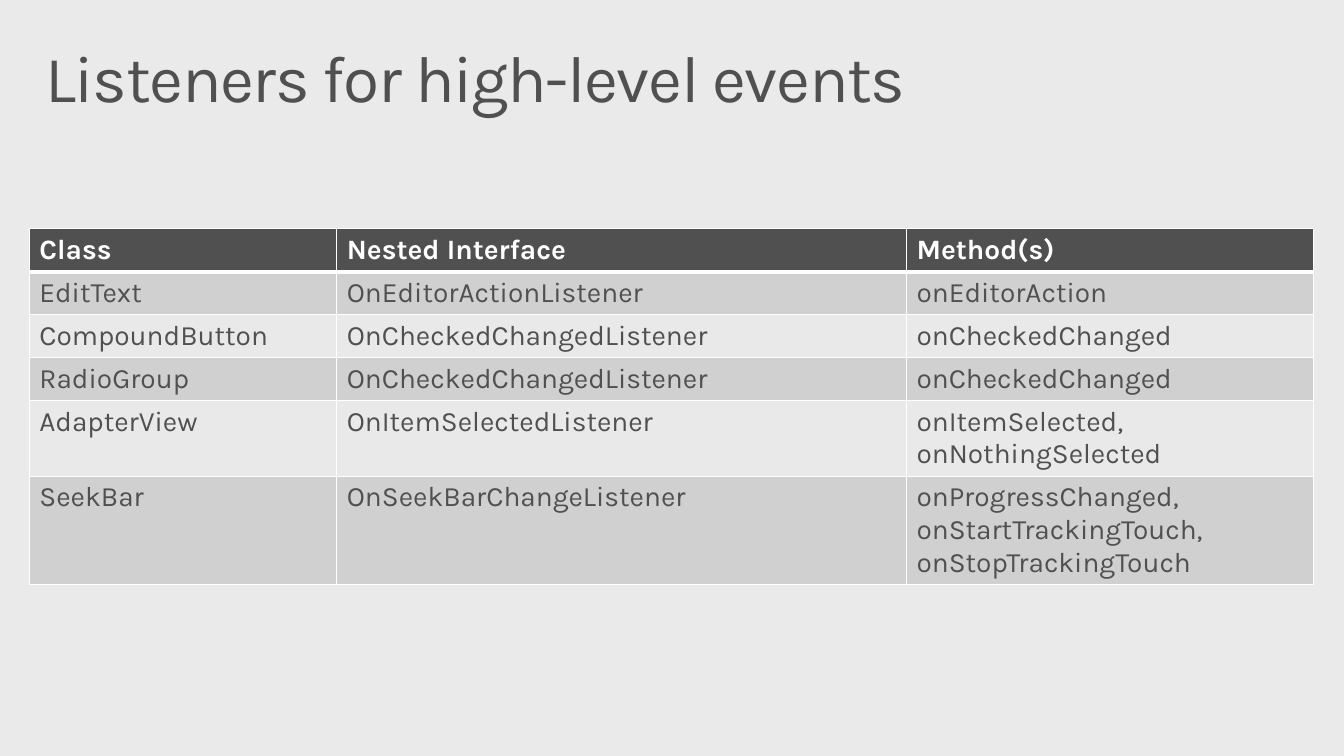
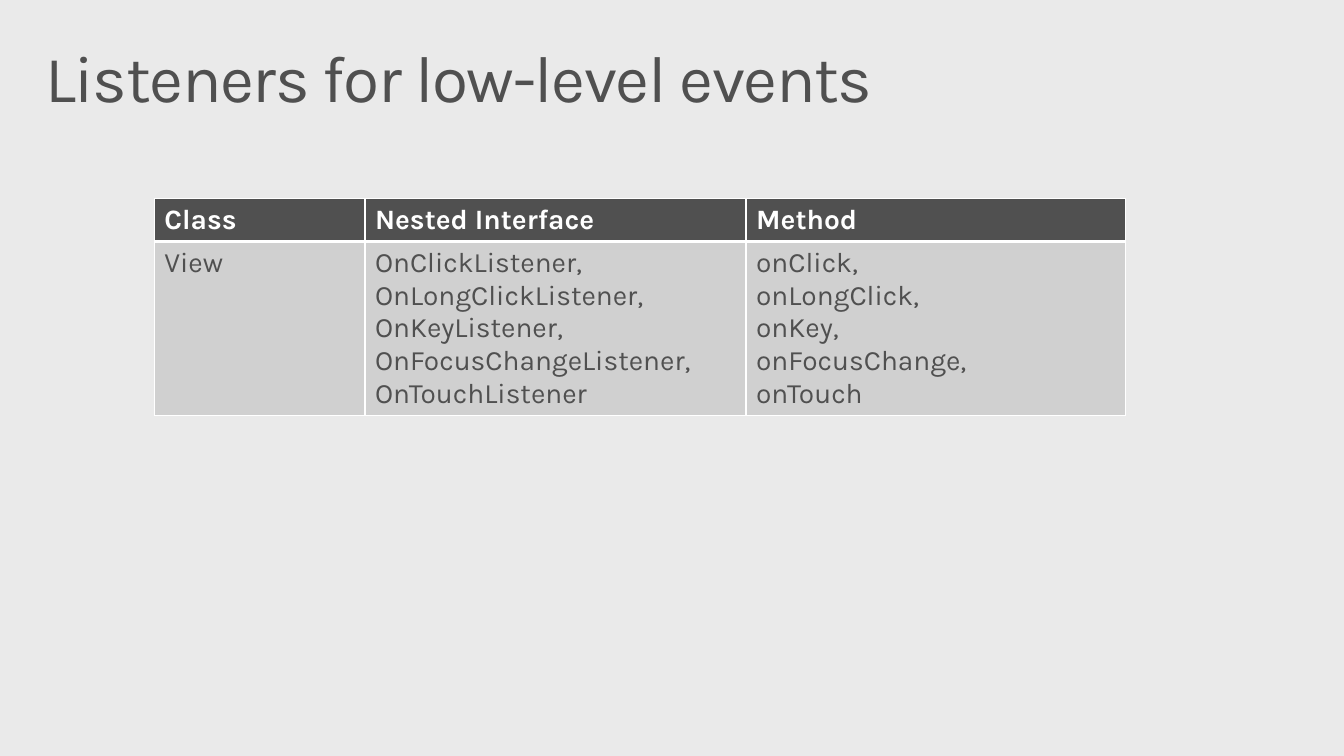
from lxml import etree
from pptx import Presentation
from pptx.dml.color import RGBColor
from pptx.enum.text import MSO_ANCHOR, MSO_AUTO_SIZE, PP_ALIGN
from pptx.oxml.ns import qn
from pptx.util import Inches, Pt

LEFT = PP_ALIGN.LEFT
MIDDLE = MSO_ANCHOR.MIDDLE
NO_AUTOFIT = MSO_AUTO_SIZE.NONE
TITLE_ONLY = 5

COLORS = {
    "background": "EAEAEA",
    "dark": "505050",
    "white": "FFFFFF",
    "band": "D0D0D0",
    "plain": "E9E9E9",
}

HIGH_LEVEL = [
    ["Class", "Nested Interface", "Method(s)"],
    ["EditText", "OnEditorActionListener", "onEditorAction"],
    ["CompoundButton", "OnCheckedChangedListener", "onCheckedChanged"],
    ["RadioGroup", "OnCheckedChangedListener", "onCheckedChanged"],
    ["AdapterView", "OnItemSelectedListener", "onItemSelected,\nonNothingSelected"],
    ["SeekBar", "OnSeekBarChangeListener",
     "onProgressChanged,\nonStartTrackingTouch,\nonStopTrackingTouch"],
]
LOW_LEVEL = [
    ["Class", "Nested Interface", "Method"],
    ["View",
     "OnClickListener,\nOnLongClickListener,\nOnKeyListener,\n"
     "OnFocusChangeListener,\nOnTouchListener",
     "onClick,\nonLongClick,\nonKey,\nonFocusChange,\nonTouch"],
]


class ListenerDeck:
    """Hold the deck style and the current page."""

    font = "Karla"
    title_size = 47
    cell_size = 20
    row_height = 0.41

    def __init__(self):
        self.deck = Presentation()
        self.deck.slide_width = Inches(13.33)
        self.deck.slide_height = Inches(7.5)
        self.page = None
        self.paint(self.deck.slide_master.background.fill, "background")

    def paint(self, fill, color):
        fill.solid()
        fill.fore_color.rgb = RGBColor.from_string(COLORS[color])

    def add_span(self, para, text, size, color, bold=False):
        para.alignment = LEFT
        span = para.add_run()
        span.text = text
        span.font.name = self.font
        span.font.size = Pt(size)
        span.font.bold = bold
        span.font.color.rgb = RGBColor.from_string(COLORS[color])
        return span

    def add_page(self, title):
        self.page = self.deck.slides.add_slide(self.deck.slide_layouts[TITLE_ONLY])
        box = self.page.shapes.title
        box.left, box.top = Inches(0.29), Inches(0.32)
        box.width, box.height = Inches(12.75), Inches(0.98)
        frame = box.text_frame
        frame.word_wrap = True
        frame.auto_size = NO_AUTOFIT
        frame.vertical_anchor = MIDDLE
        frame.margin_left = frame.margin_right = Inches(0.16)
        frame.margin_top = frame.margin_bottom = Inches(0.1)
        para = frame.paragraphs[0]
        para.line_spacing = 0.9
        span = self.add_span(para, title, self.title_size, "dark")
        span.font._element.set("spc", "-100")

    def add_borders(self, cell, top, bottom):
        properties = cell._tc.get_or_add_tcPr()
        widths = {"a:lnL": 1, "a:lnR": 1, "a:lnT": top, "a:lnB": bottom}
        for position, (side, width) in enumerate(widths.items()):
            line = etree.Element(qn(side), w=str(Pt(width)))
            fill = etree.SubElement(line, qn("a:solidFill"))
            etree.SubElement(fill, qn("a:srgbClr"), val=COLORS["white"])
            properties.insert(position, line)

    def fill_cell(self, cell, text, row):
        header = row == 0
        fill = "dark" if header else "band" if row % 2 else "plain"
        self.paint(cell.fill, fill)
        self.add_borders(cell, 3 if row == 1 else 1, 3 if header else 1)
        frame = cell.text_frame
        for index, line in enumerate(text.split("\n")):
            para = frame.add_paragraph() if index else frame.paragraphs[0]
            self.add_span(para, line, self.cell_size, "white" if header else "dark", header)

    def add_table(self, left, top, widths, rows):
        table = self.page.shapes.add_table(
            len(rows), len(widths), Inches(left), Inches(top),
            Inches(sum(widths)), Inches(self.row_height * len(rows))).table
        table.horz_banding = False
        for column, width in zip(table.columns, widths):
            column.width = Inches(width)
        for row, texts in enumerate(rows):
            table.rows[row].height = Inches(self.row_height)
            for column, text in enumerate(texts):
                self.fill_cell(table.cell(row, column), text, row)


def main():
    slides = ListenerDeck()
    slides.add_page("Listeners for high-level events")
    slides.add_table(0.29, 2.27, [3.05, 5.65, 4.04], HIGH_LEVEL)
    slides.add_page("Listeners for low-level events")
    slides.add_table(1.53, 1.97, [2.09, 3.78, 3.76], LOW_LEVEL)
    slides.deck.save("out.pptx")


if __name__ == "__main__":
    main()
